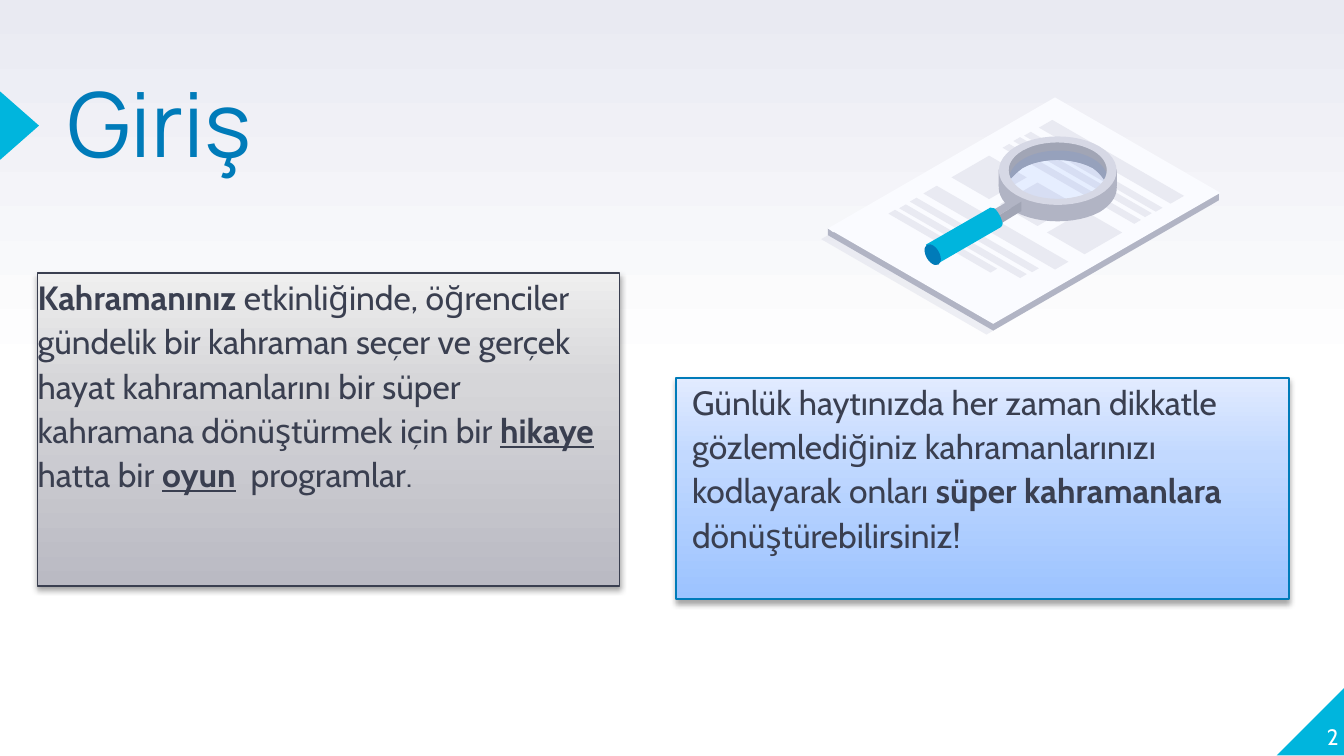
from typing import NamedTuple

from lxml.etree import SubElement
from pptx import Presentation
from pptx.dml.color import RGBColor
from pptx.enum.shapes import MSO_SHAPE
from pptx.enum.text import MSO_ANCHOR, PP_ALIGN
from pptx.oxml.ns import qn
from pptx.util import Inches, Pt

INK, BLUE, CYAN, WHITE = "3A3F50", "007BB9", "00B5DD", "FFFFFF"
PRINT, RIM, STEEL, DARK_STEEL = "E9EAF2", "D6D8E5", "B1B4C4", "A1A5B5"
ISO_SLOPE = 0.577
CURVE_STEPS = 12


class Run(NamedTuple):
    text: str
    size: float = 18
    color: str = INK
    bold: bool = False
    underline: bool = False
    font: str = "Cabin"


class Strip(NamedTuple):
    """Isometric parallelogram: left corner, extent down-right, extent up-right."""
    x: float
    y: float
    length: float
    depth: float


class Panel(NamedTuple):
    box: tuple
    border: str
    stops: list
    indent: float
    runs: list


def rgb(color: str) -> RGBColor:
    return RGBColor.from_string(color)


def paint(sp, color: str, alpha: int = 100) -> None:
    sp.shadow.inherit = False
    sp.line.fill.background()
    sp.fill.solid()
    sp.fill.fore_color.rgb = rgb(color)
    if alpha < 100:
        clr = sp._element.spPr.find(".//" + qn("a:srgbClr"))
        SubElement(clr, qn("a:alpha"), val=str(alpha * 1000))


def set_gradient(fill, element, angle: float, stops: list) -> None:
    fill.gradient()
    fill.gradient_angle = angle
    gs_lst = element.find(".//" + qn("a:gsLst"))
    for gs in list(gs_lst):
        gs_lst.remove(gs)
    for pos, color in stops:
        gs = SubElement(gs_lst, qn("a:gs"), pos=str(pos * 1000))
        SubElement(gs, qn("a:srgbClr"), val=color)


def add_soft_shadow(sp) -> None:
    sp.shadow.inherit = False
    effects = sp._element.spPr.find(qn("a:effectLst"))
    shadow = SubElement(effects, qn("a:outerShdw"), blurRad="40000", dist="23000",
                        dir="5400000", rotWithShape="0")
    clr = SubElement(shadow, qn("a:srgbClr"), val="000000")
    SubElement(clr, qn("a:alpha"), val="35000")


def add_preset(shapes, kind, box: tuple, color: str, alpha: int = 100, rotation: float = 0):
    sp = shapes.add_shape(kind, *map(Inches, box))
    paint(sp, color, alpha)
    sp.rotation = rotation
    return sp


def flatten(contour: list) -> list:
    """Turn (x, y) points and (x1, y1, x2, y2, x, y) Bezier curves into points."""
    points = []
    for item in contour:
        if len(item) == 2:
            points.append(item)
            continue
        knots = [points[-1], item[:2], item[2:4], item[4:]]
        for i in range(1, CURVE_STEPS + 1):
            t = i / CURVE_STEPS
            weights = ((1 - t) ** 3, 3 * t * (1 - t) ** 2, 3 * t * t * (1 - t), t ** 3)
            points.append(tuple(sum(w * k[axis] for w, k in zip(weights, knots))
                                for axis in (0, 1)))
    return points


def add_outline(shapes, color: str, *contours: list, alpha: int = 100) -> None:
    builder = None
    for contour in contours:
        start, *rest = [(Inches(x), Inches(y)) for x, y in flatten(contour)]
        if builder is None:
            builder = shapes.build_freeform(*start)
        else:
            builder.move_to(*start)
        builder.add_line_segments(rest, close=True)
    paint(builder.convert_to_shape(), color, alpha)


def add_strip(shapes, strip: Strip, color: str, alpha: int = 100) -> None:
    x, y, a, b = strip
    add_outline(shapes, color, [(x, y), (x + a, y + a * ISO_SLOPE),
                                (x + a + b, y + (a - b) * ISO_SLOPE),
                                (x + b, y - b * ISO_SLOPE)], alpha=alpha)


def write(sp, runs: list, spacing: float = 1.0, before: float = 0, indent: float = 0,
          align=PP_ALIGN.LEFT, anchor=MSO_ANCHOR.TOP) -> None:
    tf = sp.text_frame
    tf.word_wrap = True
    tf.vertical_anchor = anchor
    tf.margin_left = tf.margin_right = tf.margin_top = tf.margin_bottom = 0
    p = tf.paragraphs[0]
    p.alignment, p.line_spacing, p.space_before = align, spacing, Pt(before)
    if indent:
        p._p.get_or_add_pPr().set("marL", str(Inches(indent)))
    for run in runs:
        r = p.add_run()
        r.text = run.text
        f = r.font
        f.name, f.size, f.bold, f.underline = run.font, Pt(run.size), run.bold, run.underline
        f.color.rgb = rgb(run.color)


def add_panel(shapes, panel: Panel) -> None:
    sp = shapes.add_shape(MSO_SHAPE.RECTANGLE, *map(Inches, panel.box))
    set_gradient(sp.fill, sp._element.spPr, 270, panel.stops)
    sp.line.color.rgb = rgb(panel.border)
    sp.line.width = Pt(1)
    add_soft_shadow(sp)
    write(sp, panel.runs, 1.1, 6, panel.indent)


def draw_document(shapes) -> None:
    add_strip(shapes, Strip(6.11, 1.78, 1.23, 1.69), RIM, 40)
    add_outline(shapes, STEEL, [(9.03, 1.46), (7.85, 0.78), (6.2, 1.73), (6.16, 1.7),
                                (6.16, 1.75), (7.39, 2.46), (9.07, 1.49), (9.07, 1.44)])
    add_strip(shapes, Strip(6.16, 1.7, 1.23, 1.69), "FAFBFF")
    text_lines = [Strip(7.73, 0.95, 0.98, 0.1), Strip(7.62, 1.01, 0.98, 0.05),
                  Strip(7.54, 1.05, 0.98, 0.05), Strip(7.46, 1.1, 0.98, 0.05),
                  Strip(6.87, 1.44, 0.98, 0.1), Strip(6.77, 1.5, 0.91, 0.05),
                  Strip(6.69, 1.55, 0.9, 0.05), Strip(6.61, 1.59, 0.76, 0.05)]
    blocks = [Strip(x, y, 0.28, 0.28) for x, y in ((7.08, 1.32), (7.44, 1.52), (7.79, 1.73))]
    for strip in text_lines + blocks:
        add_strip(shapes, strip, PRINT)


def draw_magnifier(shapes) -> None:
    add_outline(shapes, STEEL,
                [(8.24, 1.26), (8.22, 1.24, 8.2, 1.23, 8.18, 1.22),
                 (8.01, 1.12, 7.73, 1.12, 7.56, 1.22), (7.53, 1.23, 7.51, 1.25, 7.49, 1.27),
                 (7.39, 1.37, 7.42, 1.49, 7.56, 1.58), (7.73, 1.67, 8.01, 1.67, 8.18, 1.58),
                 (8.33, 1.49, 8.35, 1.36, 8.24, 1.26)],
                [(8.13, 1.54), (7.98, 1.62, 7.75, 1.62, 7.61, 1.54),
                 (7.51, 1.49, 7.48, 1.4, 7.52, 1.33), (7.55, 1.3, 7.58, 1.27, 7.61, 1.25),
                 (7.75, 1.17, 7.98, 1.17, 8.13, 1.25), (8.16, 1.27, 8.19, 1.3, 8.21, 1.33),
                 (8.25, 1.4, 8.23, 1.49, 8.13, 1.54)])
    add_outline(shapes, DARK_STEEL,
                [(8.21, 1.33), (8.19, 1.3, 8.16, 1.27, 8.13, 1.25),
                 (7.98, 1.17, 7.75, 1.17, 7.61, 1.25), (7.58, 1.27, 7.55, 1.3, 7.52, 1.33),
                 (7.48, 1.26), (7.53, 1.14), (7.7, 1.04), (8.02, 1.05), (8.24, 1.18),
                 (8.24, 1.26), (8.24, 1.31, 8.24, 1.36, 8.21, 1.33)])
    add_outline(shapes, STEEL, [(7.43, 1.39), (7.43, 1.26), (7.5, 1.37)])
    add_outline(shapes, STEEL, [(8.31, 1.39), (8.31, 1.26), (8.25, 1.33)])
    add_preset(shapes, MSO_SHAPE.OVAL, (7.51, 1.12, 0.73, 0.42), "3E7EFF", 10)
    add_outline(shapes, STEEL,
                [(7.46, 1.42), (7.46, 1.42, 7.52, 1.64, 7.94, 1.63),
                 (8.23, 1.63, 8.27, 1.38, 8.26, 1.34), (8.2, 1.42, 8.11, 1.48, 8, 1.48),
                 (7.83, 1.5, 7.7, 1.5, 7.62, 1.46), (7.55, 1.43, 7.46, 1.34, 7.46, 1.34)])
    add_outline(shapes, RIM,
                [(7.56, 1.45), (7.39, 1.35, 7.39, 1.19, 7.56, 1.09),
                 (7.73, 0.99, 8.01, 0.99, 8.18, 1.09), (8.35, 1.19, 8.35, 1.35, 8.18, 1.45),
                 (8.01, 1.55, 7.73, 1.55, 7.56, 1.45)],
                [(8.13, 1.12), (7.98, 1.04, 7.75, 1.04, 7.61, 1.12),
                 (7.47, 1.2, 7.47, 1.33, 7.61, 1.42), (7.75, 1.5, 7.98, 1.5, 8.13, 1.42),
                 (8.27, 1.33, 8.27, 1.2, 8.13, 1.12)])
    handle_end = (6.89, 1.81, 0.1, 0.17)
    add_preset(shapes, MSO_SHAPE.OVAL, handle_end, "000000", 10, 330)
    add_outline(shapes, STEEL, [(7.6, 1.5), (7.42, 1.61), (7.36, 1.58), (7.55, 1.47)])
    add_outline(shapes, DARK_STEEL, [(7.6, 1.57), (7.42, 1.68), (7.42, 1.61), (7.6, 1.5)])
    add_outline(shapes, CYAN,
                [(7.46, 1.66), (7.45, 1.62, 7.43, 1.58, 7.4, 1.55),
                 (7.38, 1.55, 7.37, 1.54, 7.36, 1.55), (6.89, 1.82), (6.98, 1.96),
                 (7.43, 1.7), (7.45, 1.69, 7.46, 1.68, 7.46, 1.66)])
    add_preset(shapes, MSO_SHAPE.OVAL, handle_end, BLUE, rotation=330)


PANELS = [
    Panel((5.03, 2.81, 4.56, 1.65), BLUE, [(0, "E2EBFF"), (35, "C2D9FF"), (100, "9CC3FF")], 0.12, [
        Run("Günlük haytınızda her zaman dikkatle gözlemlediğiniz kahramanlarınızı "
            "kodlayarak onları "),
        Run("süper kahramanlara ", bold=True), Run("dönüştürebilirsiniz!")]),
    Panel((0.28, 2.03, 4.33, 2.33), INK, [(0, "EFEFEF"), (35, "D6D6D9"), (100, "BABAC3")], 0, [
        Run("Kahramanınız ", bold=True),
        Run("etkinliğinde, öğrenciler gündelik bir kahraman seçer ve gerçek hayat "
            "kahramanlarını bir süper kahramana dönüştürmek için bir "),
        Run("hikaye", bold=True, underline=True), Run(" hatta bir "),
        Run("oyun", bold=True, underline=True), Run("  programlar"), Run(".", 16)]),
]


def main() -> None:
    prs = Presentation()
    prs.slide_width = Inches(10)
    prs.slide_height = prs.slide_width * 9 // 16
    s = prs.slides.add_slide(prs.slide_layouts[6])
    set_gradient(s.background.fill, s._element, 90, [(0, WHITE), (50, WHITE), (100, PRINT)])

    corner = add_preset(s.shapes, MSO_SHAPE.RIGHT_TRIANGLE, (9.5, 5.11, 0.51, 0.51), CYAN)
    corner._element.spPr.xfrm.set("flipH", "1")
    add_preset(s.shapes, MSO_SHAPE.ISOSCELES_TRIANGLE, (-0.11, 0.79, 0.51, 0.29), CYAN,
               rotation=90)
    title = s.shapes.add_textbox(*map(Inches, (0.5, 0.66, 6.17, 1.18)))
    write(title, [Run("Giriş", 48, BLUE, font="Manrope")], 0.8)
    for panel in PANELS:
        add_panel(s.shapes, panel)
    number = s.shapes.add_textbox(*map(Inches, (9.46, 5.07, 0.5, 0.51)))
    write(number, [Run("2", 12, WHITE)], align=PP_ALIGN.RIGHT, anchor=MSO_ANCHOR.BOTTOM)

    illustration = s.shapes.add_group_shape().shapes
    draw_document(illustration)
    draw_magnifier(illustration)
    prs.save("out.pptx")


if __name__ == "__main__":
    main()
